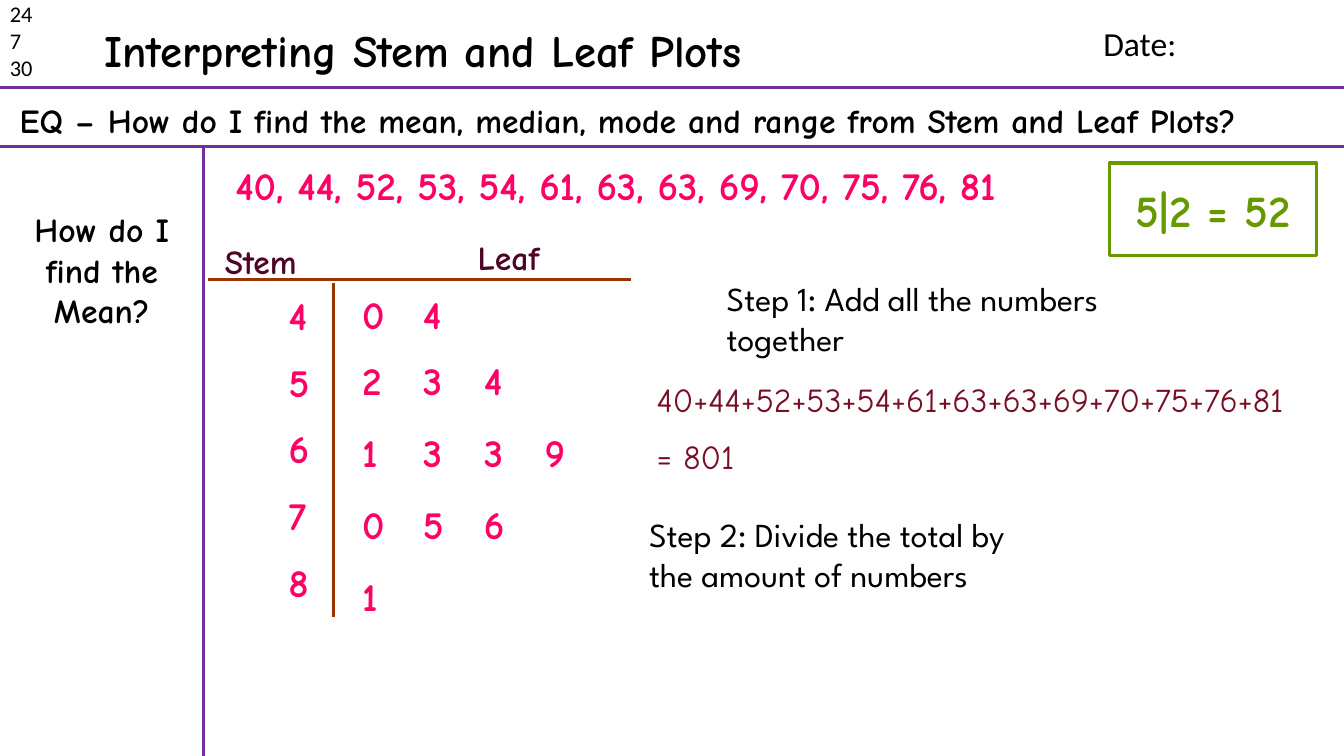
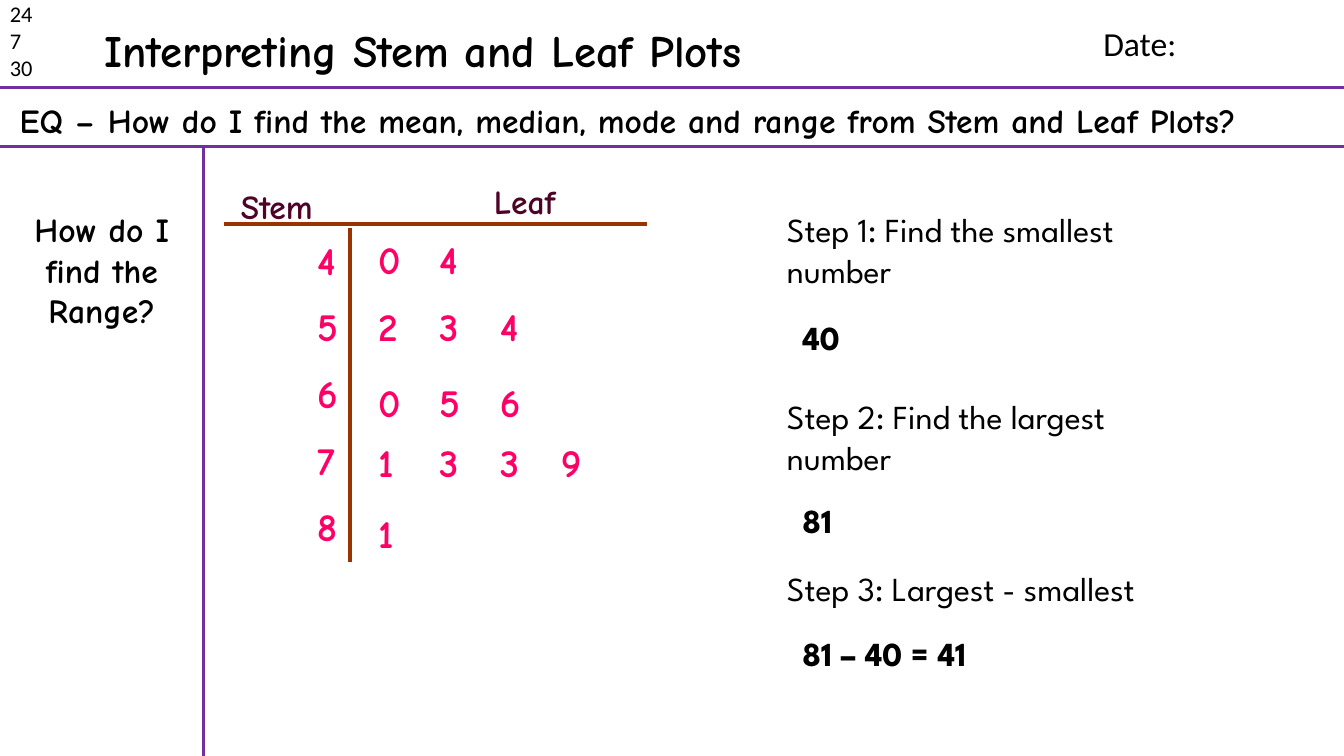
import lxml.etree
import pptx
import pptx.dml.color
import pptx.enum.shapes
import pptx.enum.text
import pptx.oxml.ns
import pptx.util

Pt = pptx.util.Pt
ALIGN = pptx.enum.text.PP_ALIGN
WIDTH, HEIGHT = 960, 540

# Shared look
BLACK, WHITE = "000000", "FFFFFF"
PURPLE, BROWN, GREEN = "7030A0", "993300", "669900"
PINK, PLUM, WINE = "FF0066", "4E0427", "760E25"
HAND, PLAIN, STEP = "Comic Neue", "Calibri", "League Spartan"
RULE_WEIGHT = 2.25
MARGIN_RULE = 145.5
TITLE = "Interpreting Stem and Leaf Plots"
QUESTION = ("EQ – How do I find the mean, median, mode and range "
            "from Stem and Leaf Plots?")


def color(hex_value):
    return pptx.dml.color.RGBColor.from_string(hex_value)


def add_element(parent, tag, **attributes):
    return lxml.etree.SubElement(parent, pptx.oxml.ns.qn(tag), attributes)


def add_rule(page, x1, y1, x2, y2, hex_value):
    rule = page.shapes.add_connector(
        pptx.enum.shapes.MSO_CONNECTOR.STRAIGHT, Pt(x1), Pt(y1), Pt(x2), Pt(y2))
    rule.line.color.rgb = color(hex_value)
    rule.line.width = Pt(RULE_WEIGHT)
    add_element(rule._element.spPr, "a:effectLst")


def set_tabs(para, pitch, count):
    """Put evenly spaced tab stops on a paragraph."""
    stops = add_element(para._p.get_or_add_pPr(), "a:tabLst")
    for number in range(1, count + 1):
        add_element(stops, "a:tab", pos=str(int(Pt(pitch * number))), algn="l")


def add_text(page, left, top, width, height, lines, size=24, font=HAND,
             hex_value=BLACK, bold=False, align=ALIGN.LEFT, gap=0, tab_pitch=None):
    box = page.shapes.add_textbox(Pt(left), Pt(top), Pt(width), Pt(height))
    frame = box.text_frame
    frame.word_wrap = True
    for index, line in enumerate(lines):
        para = frame.paragraphs[0] if index == 0 else frame.add_paragraph()
        para.text = line
        para.alignment = align
        if index and gap:
            para.space_before = Pt(gap)
        if tab_pitch and "\t" in line:
            set_tabs(para, tab_pitch, line.count("\t"))
        para.font.size = Pt(size)
        para.font.name = font
        para.font.bold = bold
        para.font.color.rgb = color(hex_value)


def add_notes_frame(deck, topic):
    """Start a page with its header, question band and margin topic."""
    page = deck.slides.add_slide(deck.slide_layouts[6])
    # Rules
    for y in (62.5, 104.5):
        add_rule(page, 0, y, WIDTH, y, PURPLE)
    add_rule(page, MARGIN_RULE, 104.5, MARGIN_RULE, HEIGHT, PURPLE)
    # Header
    add_text(page, 0, -3.6, 45.5, 65.5, ["24", "7", "30"], 16, PLAIN)
    add_text(page, 67.5, 12.5, 487, 46, [TITLE], 32, bold=True)
    add_text(page, 781, 12.5, 170, 36, ["Date:"], font=PLAIN)
    # Question and topic
    add_text(page, 7, 67.5, 945, 36, [QUESTION], bold=True)
    add_text(page, 5, 146, 135.5, 94.5, [topic], bold=True, align=ALIGN.CENTER)
    return page


def add_stem_plot(page, left, top, stem_left, leaf_rows):
    """Draw a plot; left and top mark the start of its heading rule."""
    # Rules and headings
    add_rule(page, left, top, left + 302.5, top, BROWN)
    add_rule(page, left + 90, top + 3, left + 90, top + 241.5, BROWN)
    for heading, x, y in (("Stem", -30, -31), ("Leaf", 147, -34)):
        add_text(page, left + x, top + y, 135.5, 36, [heading],
                 hex_value=PLUM, bold=True, align=ALIGN.CENTER)
    # Stems
    add_text(page, left + stem_left, top + 5, 29, 250, ["4", "5", "6", "7", "8"],
             28, hex_value=PINK, bold=True, gap=14)
    # Leaves
    for leaves, y in leaf_rows:
        add_text(page, left + 103, top + y, 253, 41, ["\t".join(leaves)],
                 28, hex_value=PINK, bold=True, tab_pitch=43.5)


def add_key(page, left, top, width, height, text):
    key = page.shapes.add_shape(pptx.enum.shapes.MSO_SHAPE.RECTANGLE,
                                Pt(left), Pt(top), Pt(width), Pt(height))
    key.shadow.inherit = False
    key.fill.solid()
    key.fill.fore_color.rgb = color(WHITE)
    key.line.color.rgb = color(GREEN)
    key.line.width = Pt(RULE_WEIGHT)
    frame = key.text_frame
    frame.word_wrap = False
    frame.vertical_anchor = pptx.enum.text.MSO_ANCHOR.MIDDLE
    para = frame.paragraphs[0]
    para.text = text
    para.alignment = ALIGN.CENTER
    para.font.size = Pt(32)
    para.font.name = HAND
    para.font.bold = True
    para.font.color.rgb = color(GREEN)


def add_step(page, left, top, text, height=65.5, bold=False):
    add_text(page, left, top, 301, height, [text], font=STEP, bold=bold)


def add_mean_page(deck):
    page = add_notes_frame(deck, "How do I find the Mean?")
    values = [40, 44, 52, 53, 54, 61, 63, 63, 69, 70, 75, 76, 81]
    add_text(page, 161, 111.5, 757, 41, [", ".join(map(str, values))],
             28, hex_value=PINK, bold=True)
    add_key(page, 792.5, 116.5, 148, 66, "5|2 = 52")
    add_stem_plot(page, 148.5, 199.5, 50.5, [
        ("04", 4.5), ("234", 51.5), ("1339", 103), ("056", 154.5), ("1", 206)])
    # Working
    add_step(page, 512, 195, "Step 1: Add all the numbers together")
    add_text(page, 462, 267, 497.5, 87,
             ["+".join(map(str, values)), f"= {sum(values)}"],
             hex_value=WINE, gap=12)
    add_step(page, 456.5, 363.5,
             "Step 2: Divide the total by the amount of numbers", 94.5)


def add_range_page(deck):
    page = add_notes_frame(deck, "How do I find the Range?")
    add_stem_plot(page, 160, 160, 59.5, [
        ("04", 4.5), ("234", 52.5), ("056", 106.5), ("1339", 149.5), ("1", 200.5)])
    # Steps with their answers
    steps = [
        ("Step 1: Find the smallest number", 146, "40", 222.5),
        ("Step 2: Find the largest number", 279.5, "81", 353.5),
        ("Step 3: Largest - smallest", 402, "81 – 40 = 41", 448.5),
    ]
    for step, step_top, answer, answer_top in steps:
        add_step(page, 555, step_top, step)
        add_step(page, 566, answer_top, answer, 36, bold=True)


def main():
    deck = pptx.Presentation()
    deck.slide_width, deck.slide_height = Pt(WIDTH), Pt(HEIGHT)
    add_mean_page(deck)
    add_range_page(deck)
    deck.save("out.pptx")


if __name__ == "__main__":
    main()
